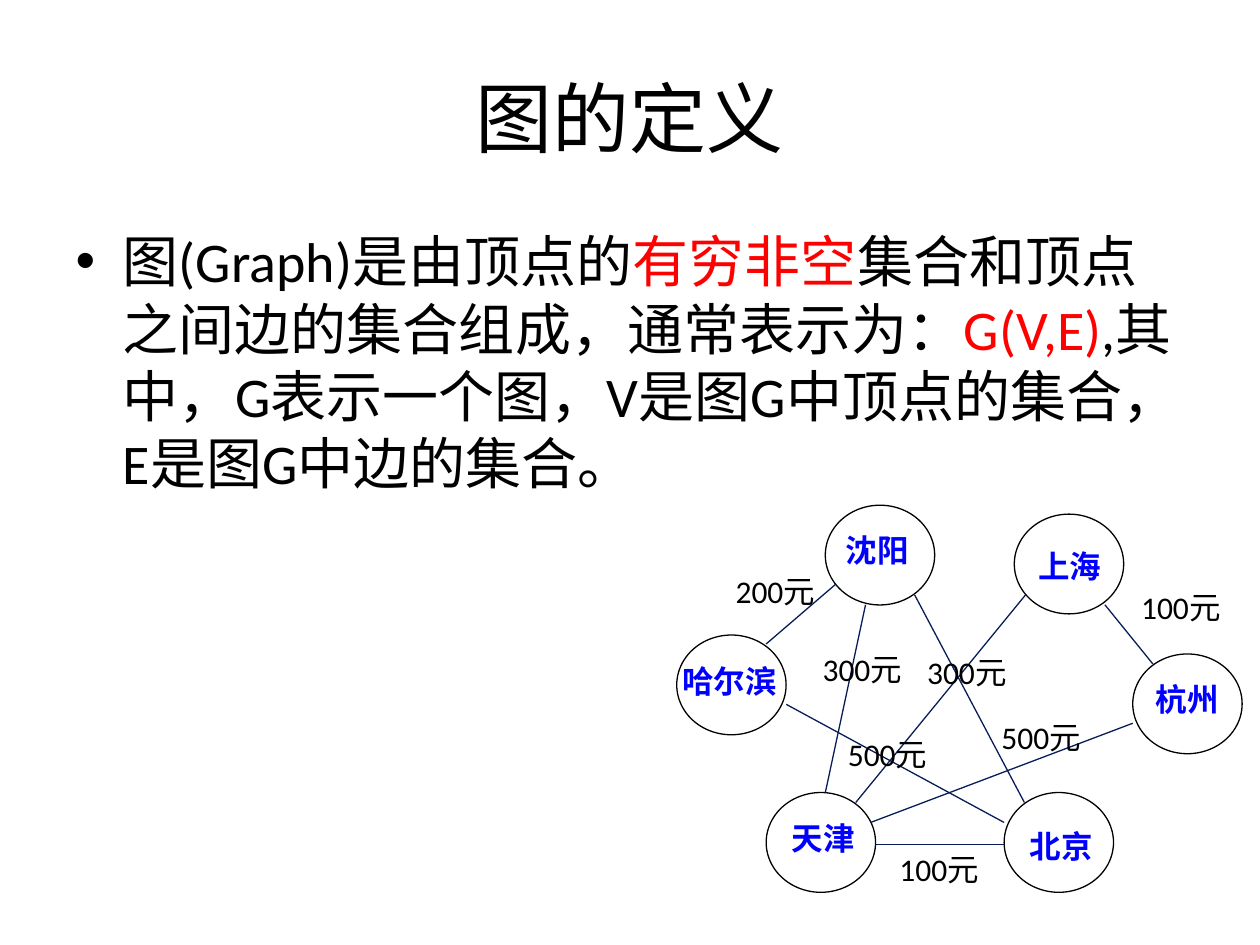
from dataclasses import dataclass

from lxml import etree
from pptx import Presentation
from pptx.dml.color import RGBColor
from pptx.enum import shapes, text
from pptx.oxml.ns import qn
from pptx.util import Pt


@dataclass(frozen=True)
class Theme:
    latin: str = "Calibri"
    cjk: str = "Noto Sans CJK SC"
    black: RGBColor = RGBColor(0x00, 0x00, 0x00)
    red: RGBColor = RGBColor(0xFF, 0x00, 0x00)
    blue: RGBColor = RGBColor(0x00, 0x00, 0xFF)
    navy: RGBColor = RGBColor(0x08, 0x1D, 0x58)
    title: int = 44
    body: int = 32
    label: int = 18
    line: float = 0.75


THEME = Theme()
NODE_W, NODE_H = 62.5, 57
LABEL_H = 34.5
PRICE_W, PRICE_H = 60.5, 29

DEFINITION = [
    ("图(Graph)是由顶点的", THEME.black),
    ("有穷非空", THEME.red),
    ("集合和顶点之间边的集合组成，通常表示为：", THEME.black),
    ("G(V,E)", THEME.red),
    (",其中，G表示一个图，V是图G中顶点的集合，E是图G中边的集合。", THEME.black),
]

# city, circle left and top, shift of the label centre, shift of the label top
CITIES = [
    ("哈尔滨", 386.7, 362.9, -1, 5.5),
    ("沈阳", 471.6, 288.7, -1.5, 5),
    ("天津", 437.8, 452.9, 1.5, 5),
    ("北京", 573.8, 452.9, 1.5, 9.5),
    ("杭州", 647.3, 373.7, 0, 5),
    ("上海", 579.6, 293.8, 0.5, 8.5),
]

# x and y of both ends
ROUTES = [
    (477.4, 334, 437.8, 368),
    (494.6, 345.6, 471.6, 453),
    (522.7, 340, 585.4, 458.6),
    (586, 340, 489, 458.6),
    (647.3, 413.3, 497.5, 470),
    (449.3, 402.5, 573.8, 470),
    (631.4, 345.6, 658.8, 379.4),
    (500.4, 482.4, 573.8, 482.4),
]

# price, left, top
PRICES = [
    ("200元", 413.3, 323.3),
    ("300元", 463, 368),
    ("300元", 522.7, 369.4),
    ("500元", 477.4, 416.2),
    ("100元", 645, 332.6),
    ("100元", 506.9, 482.4),
    ("500元", 565.2, 406.8),
]


def add_run(p, wording, size, color, font=THEME.latin, bold=False):
    r = p.add_run()
    r.text = wording
    r.font.size, r.font.bold = Pt(size), bold
    r.font.color.rgb = color
    r.font.name = font
    if font == THEME.cjk:
        etree.SubElement(r.font._element, qn("a:ea")).set("typeface", font)


def fill_placeholder(sp, box, runs, size):
    sp.left, sp.top, sp.width, sp.height = map(Pt, box)
    p = sp.text_frame.paragraphs[0]
    p.space_before = Pt(0)
    for wording, color in runs:
        add_run(p, wording, size, color)


def add_label(s, left, top, width, height, wrap):
    """Add an empty text box and return its first paragraph."""
    tf = s.shapes.add_textbox(*map(Pt, (left, top, width, height))).text_frame
    tf.word_wrap = wrap
    tf.auto_size = text.MSO_AUTO_SIZE.SHAPE_TO_FIT_TEXT
    return tf.paragraphs[0]


def add_route(s, x1, y1, x2, y2):
    c = s.shapes.add_connector(
        shapes.MSO_CONNECTOR.STRAIGHT, *map(Pt, (x1, y1, x2, y2)))
    c.line.color.rgb = THEME.navy
    c.line.width = Pt(THEME.line)
    etree.SubElement(c._element.spPr, qn("a:effectLst"))


def add_city(s, name, left, top, dx, dy):
    sp = s.shapes.add_shape(
        shapes.MSO_SHAPE.OVAL, Pt(left), Pt(top), Pt(NODE_W), Pt(NODE_H))
    sp.shadow.inherit = False
    sp.fill.background()
    sp.line.color.rgb = THEME.black
    sp.line.width = Pt(THEME.line)

    width = 15 + THEME.label * len(name)
    p = add_label(s, left + (NODE_W - width) / 2 + dx, top + dy,
                  width, LABEL_H, wrap=False)
    p.alignment = text.PP_ALIGN.CENTER
    p.line_spacing = 1.3
    add_run(p, name, THEME.label, THEME.blue, THEME.cjk, bold=True)


def add_price(s, price, left, top):
    p = add_label(s, left, top, PRICE_W, PRICE_H, wrap=True)
    add_run(p, price, THEME.label, THEME.black)


def main():
    prs = Presentation()
    prs.slide_width, prs.slide_height = Pt(720), Pt(540)
    s = prs.slides.add_slide(prs.slide_layouts[1])
    title, body = s.placeholders
    fill_placeholder(title, (36, 21.6, 648, 90),
                     [("图的定义", THEME.black)], THEME.title)
    fill_placeholder(body, (36, 126, 648, 356.4), DEFINITION, THEME.body)
    for city in CITIES:
        add_city(s, *city)
    for route in ROUTES:
        add_route(s, *route)
    for price in PRICES:
        add_price(s, *price)
    prs.save("out.pptx")


if __name__ == "__main__":
    main()
